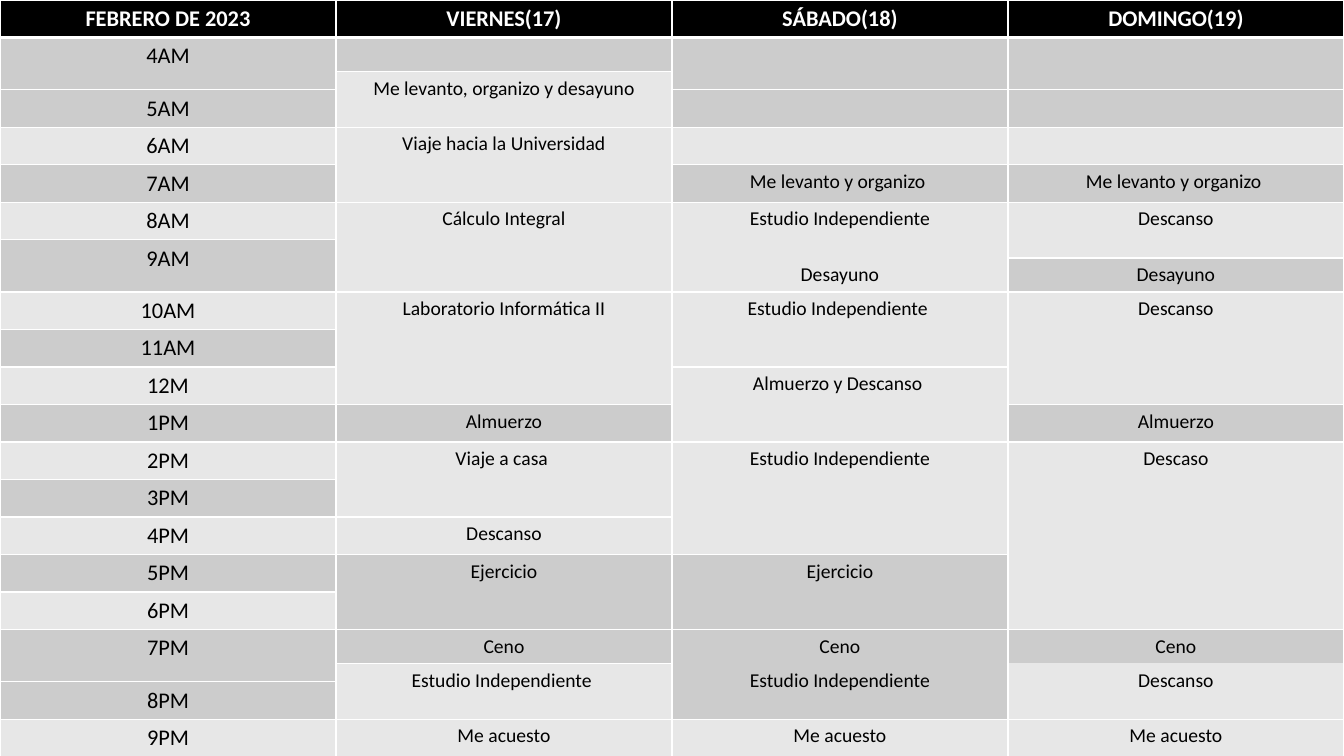
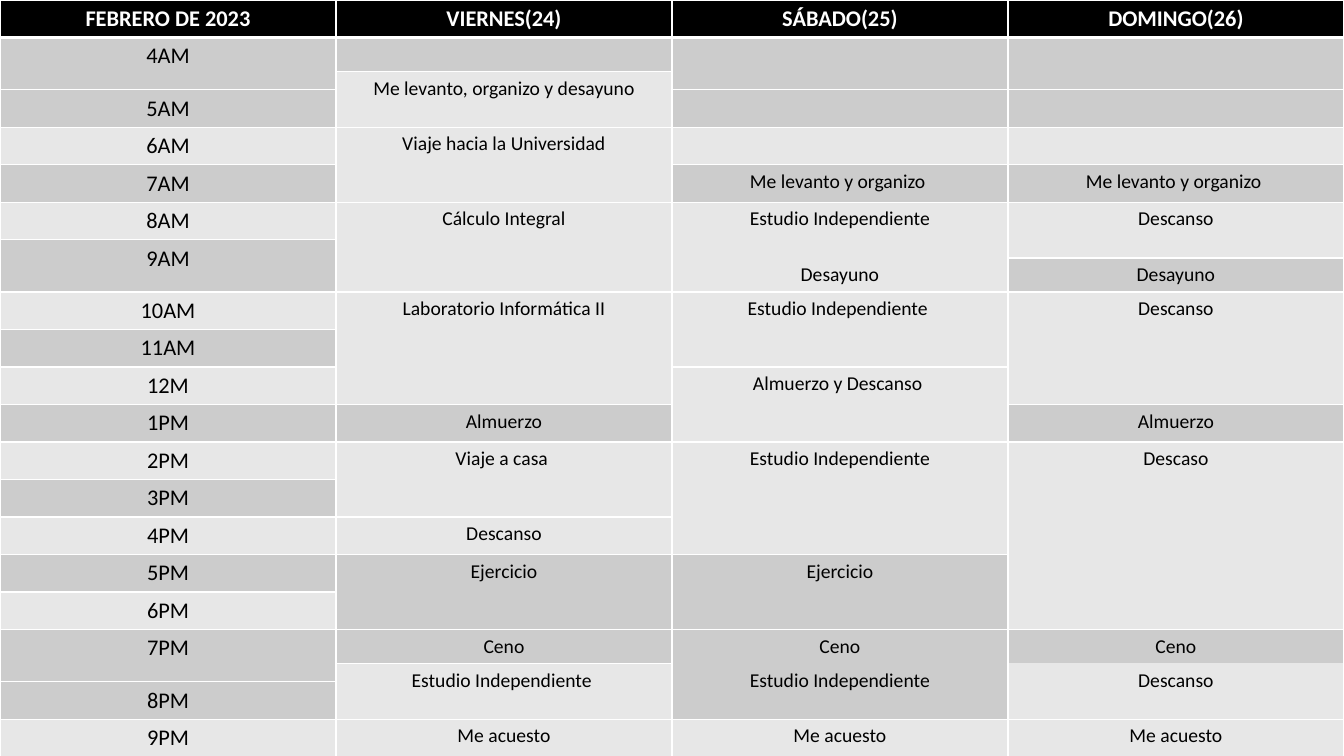
from dataclasses import dataclass

from lxml.etree import SubElement
from pptx import Presentation
from pptx.dml.color import RGBColor as RGB
from pptx.enum.text import PP_ALIGN as Align
from pptx.oxml.ns import qn
from pptx.util import Cm, Pt


@dataclass(frozen=True)
class Theme:
    font: str = "Calibri"
    black: RGB = RGB(0x00, 0x00, 0x00)
    white: RGB = RGB(0xFF, 0xFF, 0xFF)
    dark: RGB = RGB(0xCC, 0xCC, 0xCC)
    light: RGB = RGB(0xE7, 0xE7, 0xE7)
    hour_size: int = 16
    task_size: int = 14
    line: int = 1
    header_line: int = 3


T = Theme()
WIDTH, HEIGHT = Cm(33.87), Cm(19.05)
TABLE_HEIGHT = Cm(19.43)

# Row heights in cm: a full hour, unless the row is part of a split hour
FULL = 0.81
SPLIT = {1: 0.46, 2: 0.46, 7: 0.46, 8: 0, 9: 0.66, 19: 0.76, 20: 0, 21: 0, 22: 0.46}
ROWS = 25

# Each column runs down the day as (rows taken, text, fill)
HOURS = [
    (2, "4AM", T.dark), (1, "5AM", T.dark), (1, "6AM", T.light),
    (1, "7AM", T.dark), (1, "8AM", T.light), (3, "9AM", T.dark),
    (1, "10AM", T.light), (1, "11AM", T.dark), (1, "12M", T.light),
    (1, "1PM", T.dark), (1, "2PM", T.light), (1, "3PM", T.dark),
    (1, "4PM", T.light), (1, "5PM", T.dark), (1, "6PM", T.light),
    (4, "7PM", T.dark), (1, "8PM", T.dark), (1, "9PM", T.light),
]
FRIDAY = [
    (1, "", T.dark), (2, "Me levanto, organizo y desayuno", T.light),
    (2, "Viaje hacia la Universidad", T.light),
    (4, "Cálculo Integral", T.light),
    (3, "Laboratorio Informática II", T.light), (1, "Almuerzo", T.dark),
    (2, "Viaje a casa ", T.light), (1, "Descanso", T.light),
    (2, "Ejercicio", T.dark), (3, "Ceno", T.dark),
    (2, "Estudio Independiente ", T.light), (1, "Me acuesto", T.light),
]
WEEKEND_START = [
    (2, "", T.dark), (1, "", T.dark), (1, "", T.light),
    (1, "Me levanto y organizo ", T.dark),
]
SATURDAY = WEEKEND_START + [
    (2, "Estudio Independiente", T.light), (2, "Desayuno", T.light),
    (2, "Estudio Independiente ", T.light),
    (2, "Almuerzo y Descanso ", T.light),
    (3, "Estudio Independiente", T.light), (2, "Ejercicio", T.dark),
    (2, "Ceno", T.dark), (3, "Estudio Independiente", T.dark),
    (1, "Me acuesto", T.light),
]
SUNDAY = WEEKEND_START + [
    (3, "Descanso", T.light), (1, "Desayuno", T.dark),
    (3, "Descanso", T.light), (1, "Almuerzo", T.dark),
    (5, "Descaso", T.light), (1, "Ceno", T.dark),
    (4, "Descanso", T.light), (1, "Me acuesto", T.light),
]
COLUMNS = [HOURS, FRIDAY, SATURDAY, SUNDAY]
WEEKENDS = [(17, 18, 19), (24, 25, 26)]


def set_borders(cell, bottom):
    """White lines on all sides; they come before the fill in tcPr."""
    tc_pr = cell._tc.get_or_add_tcPr()
    widths = {"a:lnL": T.line, "a:lnR": T.line, "a:lnT": T.line, "a:lnB": bottom}
    for i, (tag, width) in enumerate(widths.items()):
        ln = SubElement(tc_pr, qn(tag), w=str(Pt(width)))
        fill = SubElement(ln, qn("a:solidFill"))
        SubElement(fill, qn("a:srgbClr"), val=str(T.white))
        tc_pr.insert(i, ln)


def style_cell(cell, text, fill, size, color=T.black, bold=False, bottom=T.line):
    cell.fill.solid()
    cell.fill.fore_color.rgb = fill
    set_borders(cell, bottom)
    p = cell.text_frame.paragraphs[0]
    p.alignment = Align.CENTER
    p.font.name, p.font.size = T.font, Pt(size)
    p.font.bold, p.font.color.rgb = bold, color
    if text:
        p.add_run().text = text
    else:
        # An empty cell takes its line height from the end mark
        SubElement(p._p, qn("a:endParaRPr"), sz=str(size * 100))


def fill_column(table, col, blocks, size):
    row = 1
    for span, text, fill in blocks:
        for i in range(span):
            style_cell(table.cell(row + i, col), "" if i else text, fill, size)
        if span > 1:
            table.cell(row, col).merge(table.cell(row + span - 1, col))
        row += span


def add_schedule(s, dates):
    frame = s.shapes.add_table(ROWS, len(COLUMNS), 0, 0, WIDTH, TABLE_HEIGHT)
    table = frame.table
    for i, row in enumerate(table.rows):
        row.height = Cm(SPLIT.get(i, FULL))
    frame.height = TABLE_HEIGHT

    # Header
    days = ("VIERNES", "SÁBADO", "DOMINGO")
    titles = ["FEBRERO DE 2023"] + [f"{day}({n})" for day, n in zip(days, dates)]
    for col, title in enumerate(titles):
        style_cell(table.cell(0, col), title, T.black, T.hour_size,
                   T.white, True, T.header_line)

    # Hours and days
    for col, blocks in enumerate(COLUMNS):
        fill_column(table, col, blocks, T.task_size if col else T.hour_size)


def main():
    prs = Presentation()
    prs.slide_width, prs.slide_height = WIDTH, HEIGHT
    for dates in WEEKENDS:
        add_schedule(prs.slides.add_slide(prs.slide_layouts[6]), dates)
    prs.save("out.pptx")


main()
